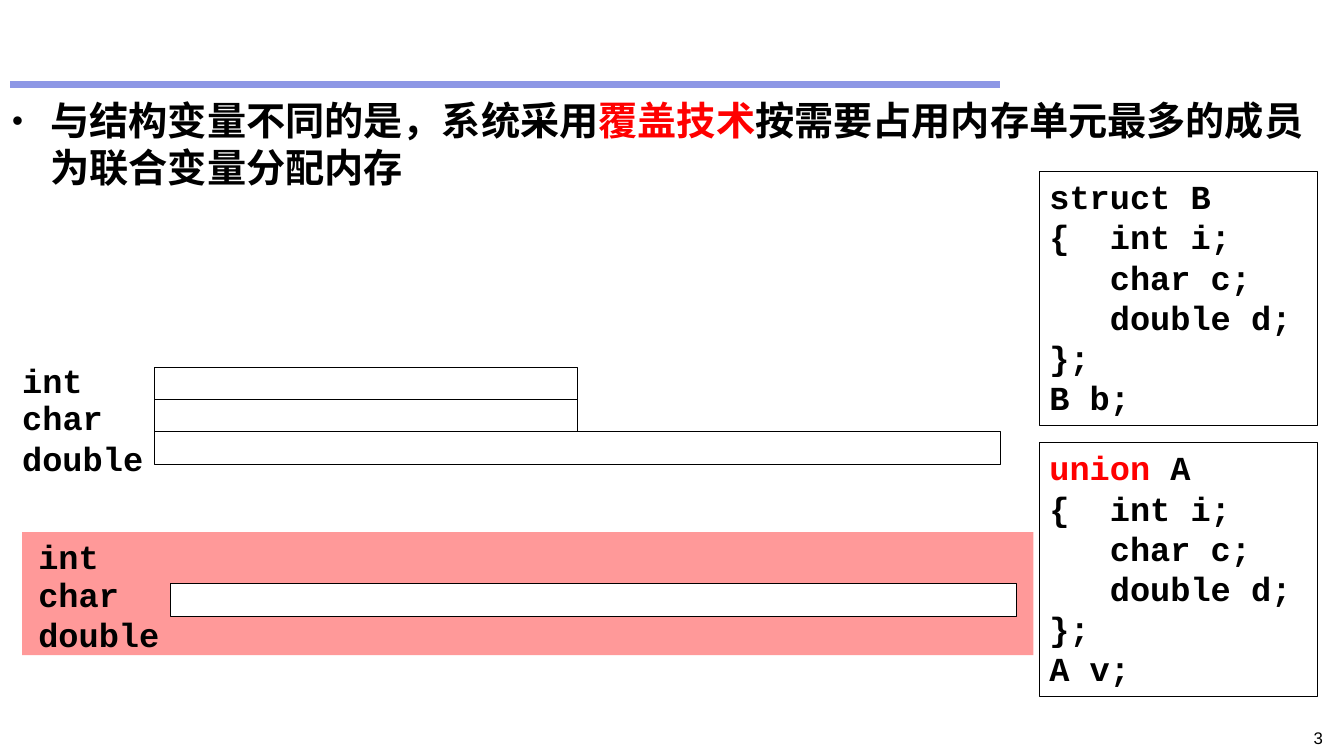
from dataclasses import dataclass

from lxml import etree
from pptx import Presentation
from pptx import util as u
from pptx.dml import color
from pptx.enum import shapes, text
from pptx.oxml import ns

COLORS = {
    "black": "000000",
    "white": "FFFFFF",
    "red": "FF0000",
    "rule": "8D97E5",
    "panel": "FF9999",
}
CODE_FONT = "Courier New"
BODY_FONT = "Noto Sans CJK SC"
BAR_LEFT = 1.53
BAR_HEIGHT = 0.33
LONG_BAR = 8.39
MEMBER_INDENT = 0.6


@dataclass(frozen=True)
class Box:
    left: float
    top: float
    width: float
    height: float
    fill: str = "white"
    outlined: bool = False


@dataclass(frozen=True)
class Declaration:
    top: float
    keyword: str
    keyword_color: str
    type_name: str
    variable: str


@dataclass(frozen=True)
class LabelColumn:
    left: float
    top: float
    fill: str


@dataclass(frozen=True)
class TypeLabel:
    name: str
    offset: float
    width: float


BARS = [
    Box(BAR_LEFT, 3.65 + row * 0.315, width, BAR_HEIGHT, outlined=True)
    for row, width in enumerate((4.2, 4.2, LONG_BAR))
]
UNION_PANEL = Box(0.22, 5.28, 10.03, 1.22, "panel")
UNION_BAR = Box(1.69, 5.79, LONG_BAR, BAR_HEIGHT, outlined=True)
COLUMNS = [LabelColumn(0.22, 3.57, "white"), LabelColumn(0.38, 5.32, "panel")]
LABELS = [
    TypeLabel("int", 0, 0.67),
    TypeLabel("char", 0.37, 0.89),
    TypeLabel("double", 0.77, 1.26),
]
DECLARATIONS = [
    Declaration(1.7, "struct", "black", "B", "b"),
    Declaration(4.39, "union", "red", "A", "v"),
]


def rgb(name: str) -> color.RGBColor:
    return color.RGBColor.from_string(COLORS[name])


def style_run(run, size: float, font: str, ink: str = "black", bold: bool = True) -> None:
    run.font.size = u.Pt(size)
    run.font.name = font
    run.font.bold = bold
    run.font.color.rgb = rgb(ink)
    east_asian = etree.SubElement(run._r.get_or_add_rPr(), ns.qn("a:ea"))
    east_asian.set("typeface", font)


def set_hanging_indent(paragraph, left: float, first: float) -> None:
    properties = paragraph._p.get_or_add_pPr()
    properties.set("marL", str(u.Inches(left)))
    properties.set("indent", str(u.Inches(first)))


def set_margins(frame, horizontal: float, vertical: float) -> None:
    frame.margin_left = frame.margin_right = u.Inches(horizontal)
    frame.margin_top = frame.margin_bottom = u.Inches(vertical)


def add_box(slide, box: Box):
    shape = slide.shapes.add_shape(
        shapes.MSO_SHAPE.RECTANGLE,
        u.Inches(box.left), u.Inches(box.top), u.Inches(box.width), u.Inches(box.height),
    )
    shape.shadow.inherit = False
    shape.fill.solid()
    shape.fill.fore_color.rgb = rgb(box.fill)
    if box.outlined:
        shape.line.color.rgb = rgb("black")
        shape.line.width = u.Pt(0.75)
    else:
        shape.line.fill.background()
    shape.text_frame.vertical_anchor = text.MSO_ANCHOR.TOP
    return shape


def add_text_box(slide, box: Box):
    return slide.shapes.add_textbox(
        u.Inches(box.left), u.Inches(box.top), u.Inches(box.width), u.Inches(box.height)
    ).text_frame


def add_title_rule(slide) -> None:
    rule = slide.shapes.add_connector(
        shapes.MSO_CONNECTOR.STRAIGHT,
        u.Inches(0.1), u.Inches(0.84), u.Inches(9.92), u.Inches(0.84),
    )
    rule.line.color.rgb = rgb("rule")
    rule.line.width = u.Pt(4.5)
    etree.SubElement(rule._element.spPr, ns.qn("a:effectLst"))


def add_explanation(slide) -> None:
    frame = add_text_box(slide, Box(0.1, 0.94, 13.12, 6.51))
    frame.word_wrap = True
    set_margins(frame, 0.02, 0.02)
    paragraph = frame.paragraphs[0]
    paragraph.line_spacing = u.Pt(33.5)
    set_hanging_indent(paragraph, 0.38, -0.38)
    properties = paragraph._p.get_or_add_pPr()
    etree.SubElement(properties, ns.qn("a:buSzPct")).set("val", "80000")
    etree.SubElement(properties, ns.qn("a:buFont")).set("typeface", "Arial")
    etree.SubElement(properties, ns.qn("a:buChar")).set("char", "•")
    for words, ink in (
        ("与结构变量不同的是，系统采用", "black"),
        ("覆盖技术", "red"),
        ("按需要占用内存单元最多的成员为联合变量分配内存", "black"),
    ):
        run = paragraph.add_run()
        run.text = words
        style_run(run, 28, BODY_FONT, ink)


def add_declaration(slide, declaration: Declaration) -> None:
    frame = add_box(slide, Box(10.31, declaration.top, 2.76, 2.52, outlined=True)).text_frame
    frame.word_wrap = True
    frame.text = "\n".join((
        declaration.keyword,
        "{\tint i;",
        "char c;",
        "double d;",
        "};",
        f"{declaration.type_name} {declaration.variable};",
    ))
    frame.paragraphs[0].add_run().text = f" {declaration.type_name}"
    first_indents = {1: -MEMBER_INDENT, 2: 0, 3: 0}
    for number, paragraph in enumerate(frame.paragraphs):
        paragraph.alignment = text.PP_ALIGN.LEFT
        paragraph.line_spacing = u.Pt(28.7)
        if number in first_indents:
            set_hanging_indent(paragraph, MEMBER_INDENT, first_indents[number])
        for run in paragraph.runs:
            ink = declaration.keyword_color if run.text == declaration.keyword else "black"
            style_run(run, 24, CODE_FONT, ink)


def add_type_labels(slide, column: LabelColumn) -> None:
    for label in LABELS:
        box = Box(column.left, column.top + label.offset, label.width, 0.4, column.fill)
        frame = add_box(slide, box).text_frame
        frame.word_wrap = False
        set_margins(frame, 0, 0)
        frame.text = label.name
        frame.paragraphs[0].alignment = text.PP_ALIGN.LEFT
        style_run(frame.paragraphs[0].runs[0], 24, CODE_FONT)


def add_slide_number(slide) -> None:
    frame = add_text_box(slide, Box(11.91, 7.17, 1.31, 0.25))
    frame.text = "3"
    frame.word_wrap = True
    frame.paragraphs[0].alignment = text.PP_ALIGN.RIGHT
    style_run(frame.paragraphs[0].runs[0], 12, "Arial", bold=False)


def main() -> None:
    presentation = Presentation()
    presentation.slide_width = u.Inches(13.33)
    presentation.slide_height = u.Inches(7.5)
    slide = presentation.slides.add_slide(presentation.slide_layouts[6])
    add_title_rule(slide)
    add_explanation(slide)
    add_slide_number(slide)
    for declaration in DECLARATIONS:
        add_declaration(slide, declaration)
    add_box(slide, UNION_PANEL)
    for column in COLUMNS:
        add_type_labels(slide, column)
    for bar in (*BARS, UNION_BAR):
        add_box(slide, bar)
    presentation.save("out.pptx")


if __name__ == "__main__":
    main()
